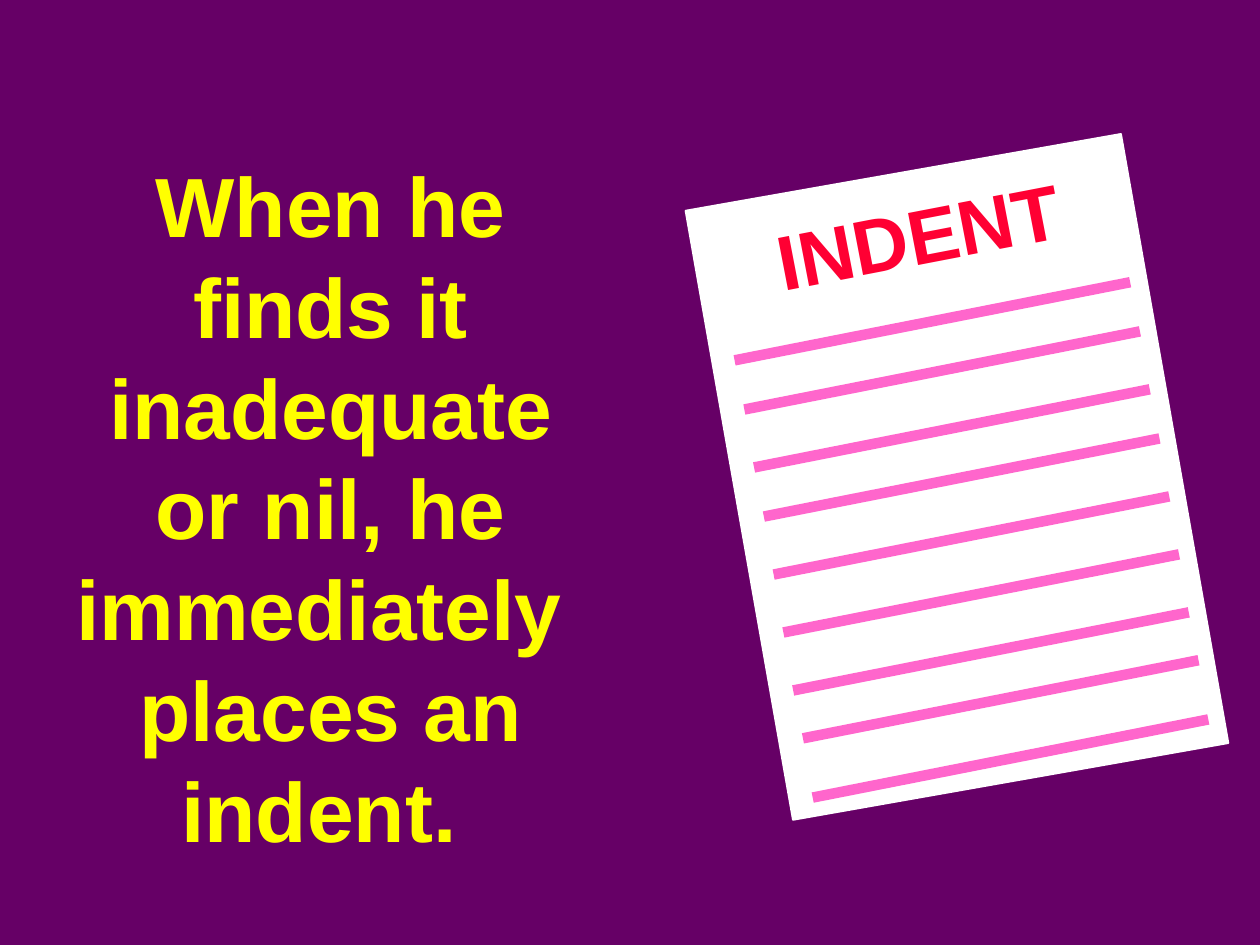
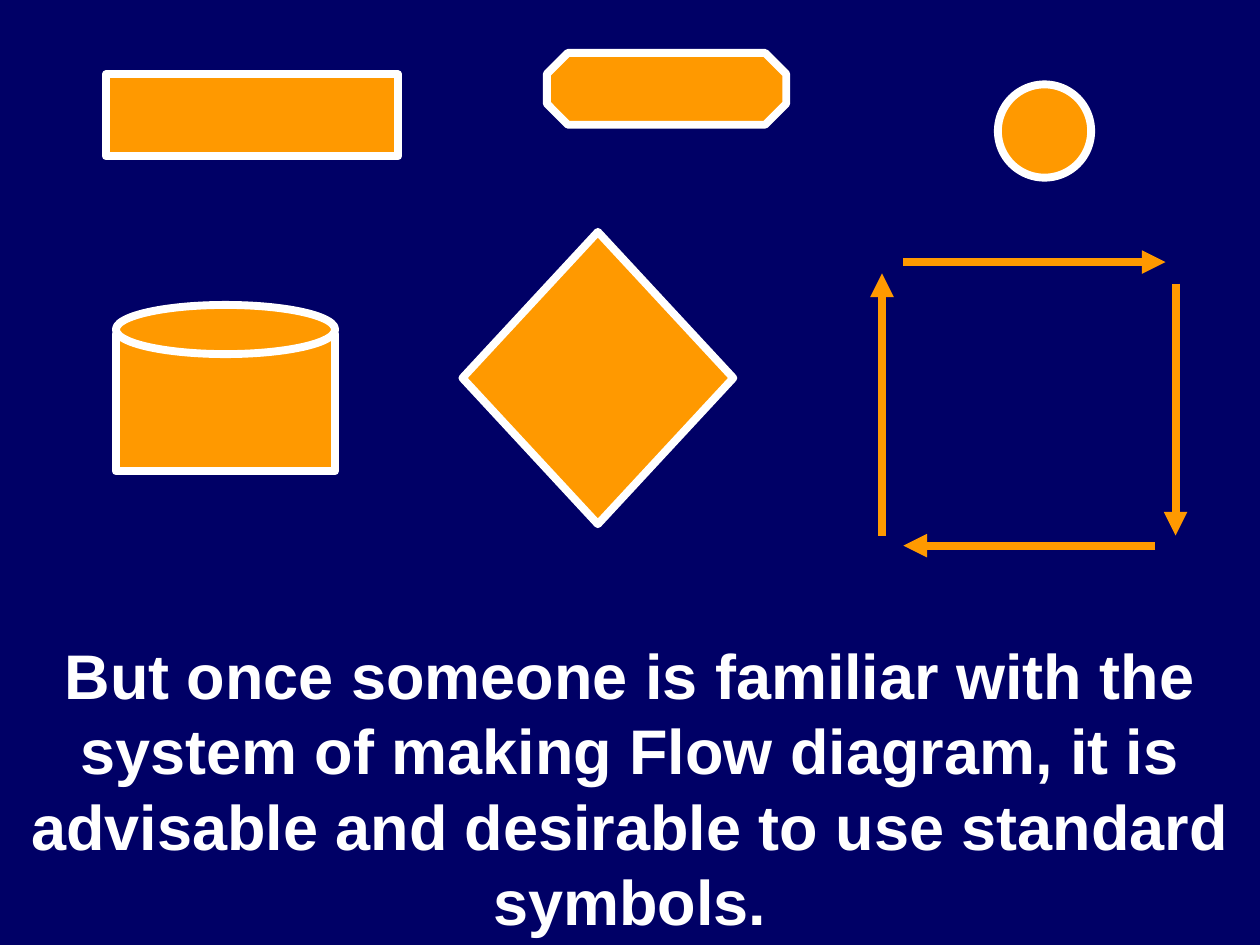
import pptx
import pptx.util
import pptx.dml.color
import pptx.enum.shapes
import pptx.enum.text
from lxml import etree

Inches = pptx.util.Inches
Pt = pptx.util.Pt
Kind = pptx.enum.shapes.MSO_SHAPE
Align = pptx.enum.text.PP_ALIGN

# Shared colours and font
hues = {"plum": "660066", "navy": "000066", "white": "FFFFFF", "yellow": "FFFF00",
        "red": "FF0033", "pink": "FF66CC", "orange": "FF9900"}
rgb = {name: pptx.dml.color.RGBColor.from_string(hue) for name, hue in hues.items()}
face = "Arial"

deck = pptx.Presentation()
deck.slide_width, deck.slide_height = Inches(10), Inches(7.5)
blank = deck.slide_layouts[6]


def add_text(slide, place, lines, size, hue, align=Align.CENTER, wrap=True):
    box = slide.shapes.add_textbox(*map(Inches, place))
    frame = box.text_frame
    frame.word_wrap = wrap
    frame.text = "\n".join(lines)
    for para in frame.paragraphs:
        para.alignment = align
        para.font.name, para.font.size, para.font.bold = face, Pt(size), True
        para.font.color.rgb = rgb[hue]
    return box


def add_line(slide, ends, hue, width, arrow=False):
    line = slide.shapes.add_connector(
        pptx.enum.shapes.MSO_CONNECTOR.STRAIGHT, *map(Inches, ends))
    line.line.color.rgb, line.line.width = rgb[hue], Pt(width)
    if arrow:
        stroke = line.line._get_or_add_ln()
        etree.SubElement(stroke, pptx.oxml.ns.qn("a:tailEnd"), type="triangle")
    etree.SubElement(line._element.spPr, pptx.oxml.ns.qn("a:effectLst"))


# Slide 1: the message
slide = deck.slides.add_slide(blank)
slide.background.fill.solid()
slide.background.fill.fore_color.rgb = rgb["plum"]
add_text(slide, (0.42, 1.17, 4.41, 5.7),
         ["When he finds it inadequate or nil, he immediately ", "places an indent. "],
         48, "yellow")

# Tilted sheet with its heading
sheet = slide.shapes.add_shape(Kind.RECTANGLE, *map(Inches, (5.84, 1.33, 3.51, 4.91)))
sheet.rotation = 350
sheet.shadow.inherit = False
sheet.fill.solid()
sheet.fill.fore_color.rgb = sheet.line.color.rgb = rgb["white"]
sheet.line.width = Pt(1)
head = add_text(slide, (6.05, 1.44, 2.48, 0.83), ["INDENT"], 44, "red", Align.LEFT, False)
head.rotation = 349

# Ruled lines follow the sheet's slanted left edge
for row, top in enumerate((2.86, 3.25, 3.71, 4.1, 4.56, 5.02, 5.48, 5.86, 6.33)):
    left = 5.83 + row * 0.62 / 8
    add_line(slide, (left, top, left + 3.14, top - 0.62), "pink", 6)

# Slide 2: the message
slide = deck.slides.add_slide(blank)
slide.background.fill.solid()
slide.background.fill.fore_color.rgb = rgb["navy"]
add_text(slide, (0, 5, 10, 2.5),
         ["But once someone is familiar with the system of making Flow diagram, "
          "it is advisable and desirable to use standard symbols."], 36, "white")

# Flow chart symbols; the last two form the drum
for kind, place in (
        (Kind.OCTAGON, (4.34, 0.42, 1.9, 0.57)),
        (Kind.DIAMOND, (3.67, 1.84, 2.15, 2.32)),
        (Kind.RECTANGLE, (0.84, 0.59, 2.32, 0.65)),
        (Kind.OVAL, (7.92, 0.67, 0.74, 0.74)),
        (Kind.RECTANGLE, (0.92, 2.65, 1.74, 1.09)),
        (Kind.OVAL, (0.92, 2.42, 1.74, 0.39))):
    shape = slide.shapes.add_shape(kind, *map(Inches, place))
    shape.shadow.inherit = False
    shape.fill.solid()
    shape.fill.fore_color.rgb = rgb["orange"]
    shape.line.color.rgb, shape.line.width = rgb["white"], Pt(4.5)

# Arrows running clockwise round a square
for ends in ((7.17, 2.08, 9.25, 2.08), (9.33, 2.25, 9.33, 4.25),
             (9.17, 4.33, 7.17, 4.33), (7, 4.25, 7, 2.17)):
    add_line(slide, ends, "orange", 4.5, arrow=True)

deck.save("out.pptx")
